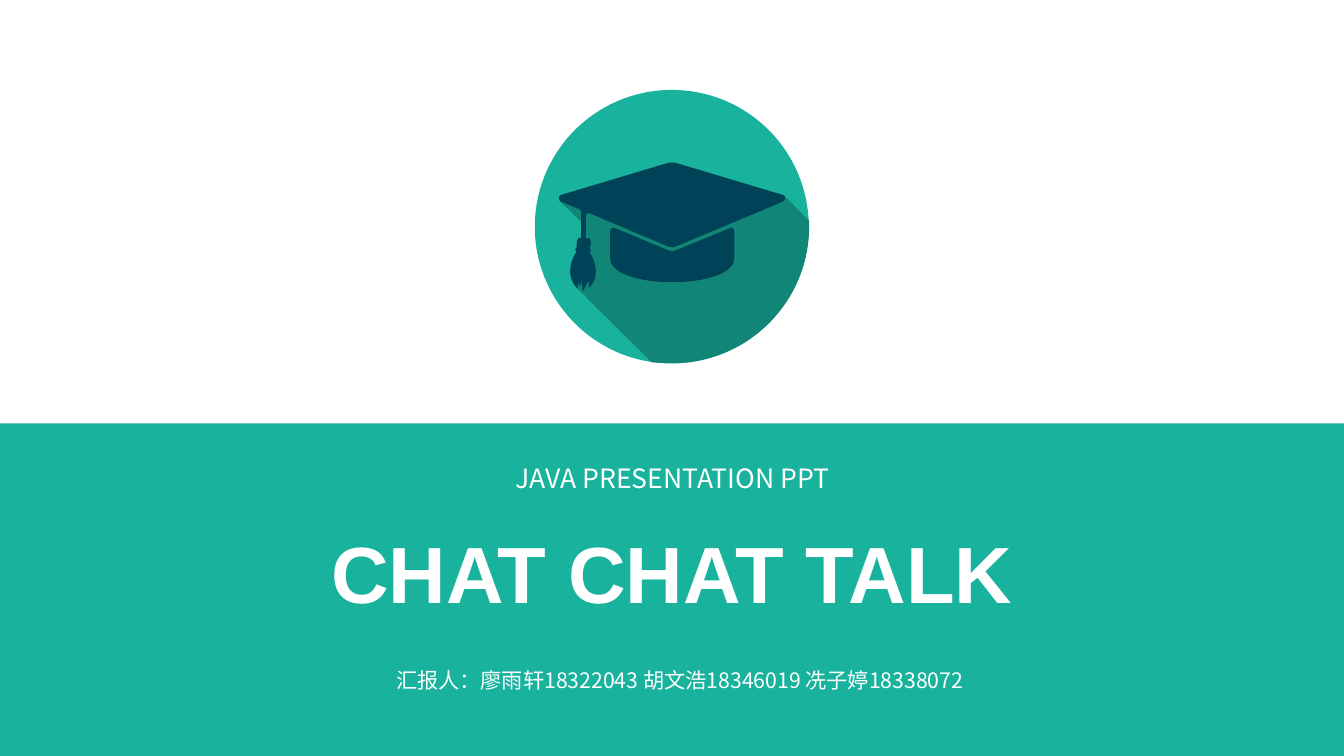
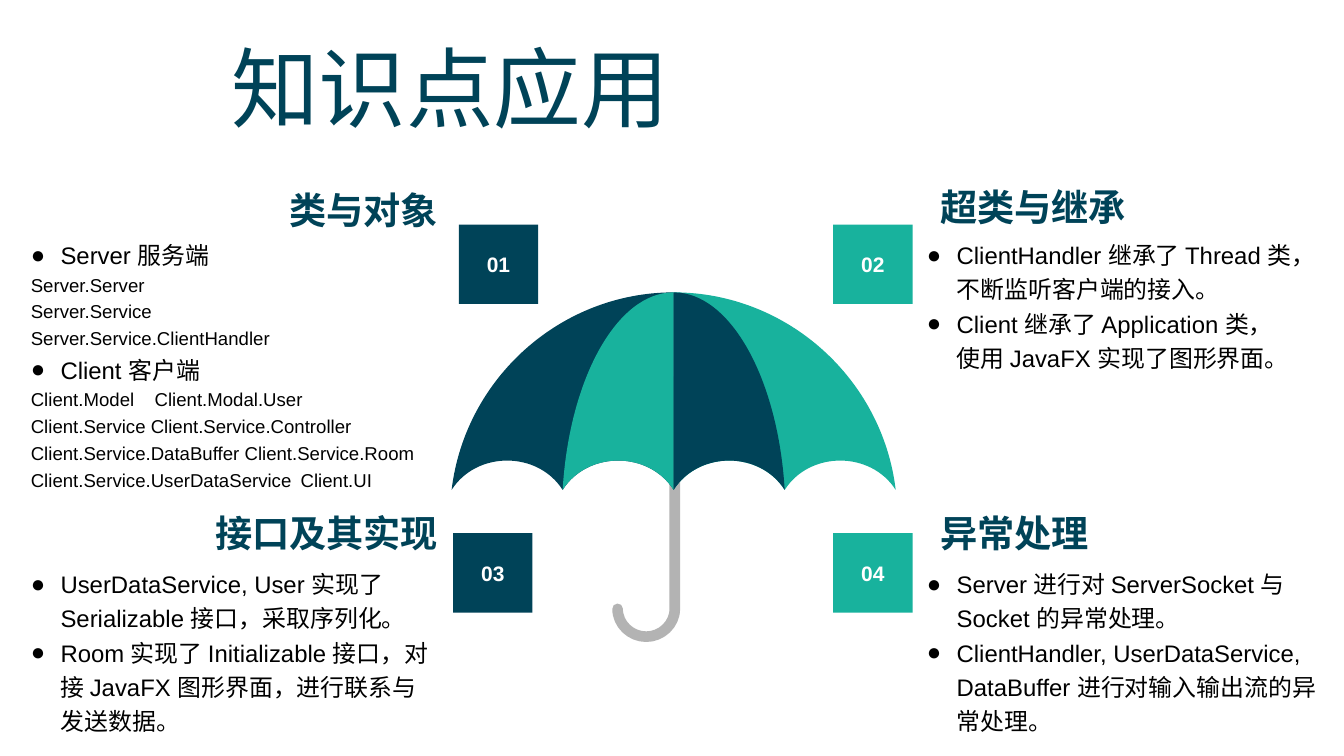
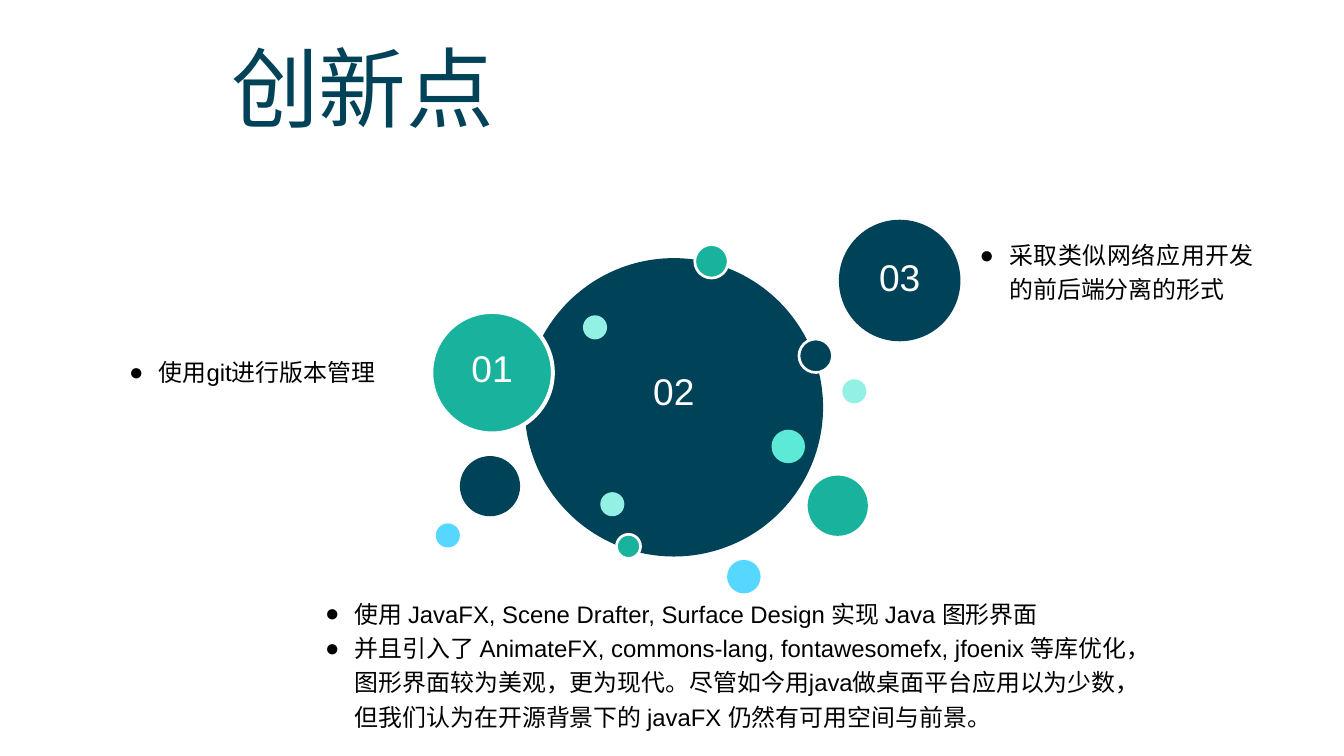
from dataclasses import dataclass

import pptx
import pptx.dml.color
import pptx.enum.shapes
import pptx.enum.text
import pptx.oxml.ns
import pptx.util
from lxml import etree

Cm = pptx.util.Cm
Pt = pptx.util.Pt
qn = pptx.oxml.ns.qn
SHAPE = pptx.enum.shapes.MSO_SHAPE
ALIGN = pptx.enum.text.PP_ALIGN
ANCHOR = pptx.enum.text.MSO_ANCHOR


@dataclass(frozen=True)
class Theme:
    width: float = 35.71
    height: float = 20.09
    green: str = "18B29D"
    shade: str = "128676"
    navy: str = "004358"
    mint: str = "5CE9D6"
    pale: str = "92F0E4"
    sky: str = "56D7FF"
    grey: str = "B3B3B3"
    white: str = "FFFFFF"
    black: str = "000000"
    latin: str = "Arial"
    cjk: str = "Noto Sans CJK SC"
    cover: float = 60
    title: float = 66
    heading: float = 28
    subtitle: float = 20
    body: float = 18
    small: float = 14
    presenters: float = 16
    badge: float = 15.8
    spacing: float = 1.2
    indent: float = 0.79


T = Theme()


def rgb(colour):
    return pptx.dml.color.RGBColor.from_string(colour)


def add_bullet(p):
    pPr = p._p.get_or_add_pPr()
    pPr.set("marL", str(Cm(T.indent)))
    pPr.set("indent", str(-Cm(T.indent)))
    etree.SubElement(pPr, qn("a:buFont")).set("typeface", T.latin)
    etree.SubElement(pPr, qn("a:buChar")).set("char", "●")


def add_tabs(p, stops):
    tabs = etree.SubElement(p._p.get_or_add_pPr(), qn("a:tabLst"))
    for stop in stops:
        tab = etree.SubElement(tabs, qn("a:tab"))
        tab.set("pos", str(Cm(stop)))
        tab.set("algn", "l")


def add_paragraph(p, text, size=T.body, colour=T.black, font=T.latin, bold=False,
                  align=ALIGN.LEFT, spacing=1.0, bullet=False, tabs=()):
    p.alignment = align
    p.line_spacing = spacing
    p.space_before = Pt(0)
    if bullet:
        add_bullet(p)
    if tabs:
        add_tabs(p, tabs)
    r = p.add_run()
    r.text = text
    r.font.size = Pt(size)
    r.font.bold = bold
    r.font.name = font
    r.font.color.rgb = rgb(colour)
    ea = etree.SubElement(r.font._element, qn("a:ea"))
    ea.set("typeface", T.cjk)


def write(tf, items, anchor=ANCHOR.TOP, lift=0, **style):
    """Fill a frame; an item is a text, or a text with its own format."""
    tf.word_wrap = True
    tf.auto_size = pptx.enum.text.MSO_AUTO_SIZE.NONE
    tf.vertical_anchor = anchor
    tf.margin_left = tf.margin_right = tf.margin_top = 0
    tf.margin_bottom = Cm(lift)
    for i, item in enumerate(items):
        text, own = (item, {}) if isinstance(item, str) else item
        p = tf.add_paragraph() if i else tf.paragraphs[0]
        add_paragraph(p, text, **{**style, **own})


def add_text(s, x, y, w, h, *items, **style):
    box = s.shapes.add_textbox(Cm(x), Cm(y), Cm(w), Cm(h))
    write(box.text_frame, items, **style)


def add_body(s, x, y, w, h, *items, **style):
    add_text(s, x, y, w, h, *items,
             **{"bullet": True, "spacing": T.spacing, **style})


def add_slide(prs, title, x, y, w, h, **style):
    s = prs.slides.add_slide(prs.slide_layouts.get_by_name("Title Only"))
    sp = s.shapes.title
    sp.left, sp.top, sp.width, sp.height = Cm(x), Cm(y), Cm(w), Cm(h)
    write(sp.text_frame, [title], **style)
    return s


def add_content_slide(prs, title):
    return add_slide(prs, title, 6.14, 0.89, 18, 2.82, size=T.title,
                     colour=T.navy, anchor=ANCHOR.MIDDLE)


def paint(sp, fill=None, line=None, weight=0):
    sp.shadow.inherit = False
    if fill:
        sp.fill.solid()
        sp.fill.fore_color.rgb = rgb(fill)
    else:
        sp.fill.background()
    if line:
        sp.line.color.rgb = rgb(line)
        sp.line.width = Pt(weight)
    else:
        sp.line.fill.background()


def add_block(s, kind, x, y, w, h, fill, label=None, ring=0, lift=0, **style):
    sp = s.shapes.add_shape(kind, Cm(x), Cm(y), Cm(w), Cm(h))
    paint(sp, fill, T.white if ring else None, ring)
    if label:
        write(sp.text_frame, [label], anchor=ANCHOR.MIDDLE, lift=lift,
              colour=T.white, align=ALIGN.CENTER, **style)


def bend(sp, segment, numbers):
    """Turn a straight segment of a freeform into a cubic curve."""
    curve = etree.Element(qn("a:cubicBezTo"))
    for x, y in zip(numbers[::2], numbers[1::2]):
        pt = etree.SubElement(curve, qn("a:pt"))
        pt.set("x", str(Cm(x) - sp.left))
        pt.set("y", str(Cm(y) - sp.top))
    segment.getparent().replace(segment, curve)


def add_outline(s, steps, closed=True, **look):
    """Draw an outline; a step is a point, or a cubic curve of six numbers."""
    points = [(Cm(step[-2]), Cm(step[-1])) for step in steps]
    builder = s.shapes.build_freeform(*points[0])
    builder.add_line_segments(points[1:], close=closed)
    sp = builder.convert_to_shape()
    segments = list(sp.element.iter(qn("a:lnTo")))
    for segment, step in zip(segments, steps[1:]):
        if len(step) == 6:
            bend(sp, segment, step)
    paint(sp, **look)
    return sp


def add_graduation_cap(s):
    shadow = [(21.5, 6.02), (21.5, 8.03, 19.86, 9.65, 17.86, 9.65), (17.32, 9.63),
              (15.32, 7.65), (15.29, 7.47), (15.47, 6.86), (15.29, 6.65),
              (15.47, 6.58), (15.49, 5.94), (14.86, 5.33), (20.85, 5.21), (21.5, 5.87)]
    base = [(16.21, 6.15), (16.21, 6.86), (16.21, 7.29, 17.04, 7.5, 17.86, 7.5),
            (18.68, 7.5, 19.51, 7.29, 19.51, 6.86),
            (19.51, 6.15), (19.51, 6.07, 19.43, 6.02, 19.38, 6.07), (17.96, 6.65),
            (17.91, 6.68, 17.83, 6.68, 17.75, 6.65), (16.36, 6.07),
            (16.28, 6.02, 16.21, 6.07, 16.21, 6.15)]
    board = [(17.78, 4.32), (17.93, 4.32), (20.8, 5.18),
             (20.88, 5.21, 20.88, 5.31, 20.8, 5.36), (17.96, 6.55),
             (17.91, 6.58, 17.83, 6.58, 17.75, 6.55), (15.65, 5.66),
             (15.62, 5.64, 15.57, 5.69, 15.57, 5.72), (15.57, 6.35),
             (15.7, 6.27, 15.7, 6.4, 15.7, 6.48), (15.67, 6.6),
             (15.72, 6.63, 15.72, 6.68, 15.67, 6.71),
             (15.85, 6.98, 15.93, 7.39, 15.65, 7.65), (15.65, 7.44), (15.49, 7.75),
             (15.44, 7.42), (15.42, 7.62), (15.37, 7.5), (15.34, 7.67),
             (15.09, 7.42, 15.09, 7.04, 15.32, 6.68),
             (15.27, 6.65, 15.27, 6.6, 15.32, 6.58),
             (15.32, 6.48, 15.32, 6.27, 15.44, 6.32),
             (15.44, 5.61), (15.39, 5.56), (14.91, 5.36),
             (14.83, 5.31, 14.83, 5.21, 14.91, 5.18)]
    add_outline(s, shadow, fill=T.shade)
    for part in (base, board):
        add_outline(s, part, fill=T.navy)


def add_canopy(s, side, scallops, fill):
    """Draw the canopy from its middle to one side (-1 or 1)."""
    mid, top, hem, pitch = 17.9, 7.77, 13.02, 2.95
    reach = side * pitch * scallops
    steps = [(mid, top), (mid + 0.51 * reach, top, mid + 0.94 * reach, 10.06,
                          mid + reach, hem)]
    for i in reversed(range(scallops)):
        inner, outer = (mid + side * pitch * n for n in (i, i + 1))
        steps.append((outer - side * 0.66, 11.98, inner + side * 0.66, 11.98, inner, hem))
    add_outline(s, steps, fill=fill)


def add_umbrella(s):
    handle = add_outline(
        s, [(17.93, 10.13), (17.93, 16.18), (17.93, 16.59, 17.58, 16.92, 17.17, 16.92),
            (16.76, 16.92, 16.41, 16.59, 16.41, 16.18)],
        closed=False, line=T.grey, weight=8)
    handle.element.spPr.find(qn("a:ln")).set("cap", "rnd")
    for side, scallops, fill in ((1, 2, T.green), (-1, 2, T.navy),
                                 (-1, 1, T.green), (1, 1, T.navy)):
        add_canopy(s, side, scallops, fill)


def build_cover(prs):
    s = add_slide(prs, "CHAT CHAT TALK", 6.56, 13.92, 22.58, 2.57, size=T.cover,
                  bold=True, colour=T.white, align=ALIGN.CENTER)
    band_top = 11.25
    add_block(s, SHAPE.RECTANGLE, 0, band_top, T.width, T.height - band_top, T.green)
    s.shapes.element.append(s.shapes.title.element)  # title above the band
    add_block(s, SHAPE.OVAL, 14.21, 2.39, 7.28, 7.27, T.green)
    add_graduation_cap(s)
    style = dict(font=T.cjk, colour=T.white, align=ALIGN.CENTER)
    add_text(s, 10.32, 12.27, 15.09, 0.86, "JAVA PRESENTATION PPT",
             size=T.subtitle, **style)
    add_text(s, 8.79, 17.74, 18.54, 0.69,
             "汇报人：廖雨轩18322043 胡文浩18346019 冼子婷18338072",
             size=T.presenters, **style)


def build_knowledge(prs):
    s = add_content_slide(prs, "知识点应用")
    add_umbrella(s)
    detail = dict(size=T.small, bullet=False, tabs=(3.29, 7.17))
    classes = ["Server 服务端"]
    classes += [(t, detail) for t in ("Server.Server", "Server.Service",
                                      "Server.Service.ClientHandler")]
    classes += ["Client 客户端"]
    classes += [(t, detail) for t in (
        "Client.Model\tClient.Modal.User",
        "Client.Service Client.Service.Controller",
        "Client.Service.DataBuffer Client.Service.Room",
        "Client.Service.UserDataService\tClient.UI")]
    # heading, heading top, badge left, body width, body
    topics = [
        ("类与对象", 4.74, 12.19, 10.82, classes),
        ("超类与继承", 4.65, 22.14, 9.8,
         ["ClientHandler 继承了 Thread 类，不断监听客户端的接入。",
          "Client 继承了 Application 类，使用 JavaFX 实现了图形界面。"]),
        ("接口及其实现", 13.32, 12.04, 10.82,
         ["UserDataService, User 实现了 Serializable 接口，采取序列化。",
          "Room 实现了 Initializable 接口，对接 JavaFX 图形界面，进行联系与发送数据。"]),
        ("异常处理", 13.32, 22.14, 10.6,
         ["Server 进行对 ServerSocket 与 Socket 的异常处理。",
          "ClientHandler, UserDataService, DataBuffer 进行对输入输出流的异常处理。"]),
    ]
    for i, (heading, heading_y, badge_x, body_w, body) in enumerate(topics):
        row, right = divmod(i, 2)
        badge_y, body_y, body_h = ((5.97, 6.24, 6.81), (14.17, 14.98, 4.88))[row]
        add_text(s, 24.99 if right else 0.82, heading_y, 10.82, 1.2, heading,
                 size=T.heading, bold=True, colour=T.navy, spacing=T.spacing,
                 align=ALIGN.LEFT if right else ALIGN.RIGHT)
        add_body(s, 24.63 if right else 0.82, body_y, body_w, body_h, *body)
        add_block(s, SHAPE.RECTANGLE, badge_x, badge_y, 2.11, 2.11,
                  T.green if right else T.navy, f"{i + 1:02}", size=T.badge, bold=True)


def build_innovation(prs):
    s = add_content_slide(prs, "创新点")
    # left, top, diameter, fill, extras
    bubbles = [
        (13.94, 6.86, 7.93, T.navy, dict(label="02", lift=0.9)),
        (18.46, 6.5, 0.89, T.green, dict(ring=2)),
        (16.38, 14.2, 0.64, T.green, dict(ring=2)),
        (22.38, 10.08, 0.64, T.pale, {}),
        (19.32, 14.88, 0.89, T.sky, {}),
        (15.49, 8.38, 0.64, T.pale, {}),
        (11.46, 8.29, 3.23, T.green, dict(label="01", ring=3, lift=0.25)),
        (20.5, 11.42, 0.89, T.mint, {}),
        (12.22, 12.12, 1.6, T.navy, {}),
        (22.29, 5.84, 3.23, T.navy, dict(label="03", lift=0.2)),
        (21.23, 9.01, 0.89, T.navy, dict(ring=2)),
        (11.58, 13.91, 0.64, T.sky, {}),
        (15.95, 13.08, 0.64, T.pale, {}),
        (21.46, 12.64, 1.6, T.green, {}),
    ]
    for x, y, d, fill, extras in bubbles:
        add_block(s, SHAPE.OVAL, x, y, d, d, fill, size=T.heading, **extras)
    add_body(s, 3.43, 9.35, 7.72, 0.91, "使用git进行版本管理", align=ALIGN.JUSTIFY)
    add_body(s, 8.64, 15.77, 22.25, 3.68,
             "使用 JavaFX, Scene Drafter, Surface Design 实现 Java 图形界面",
             "并且引入了 AnimateFX, commons-lang, fontawesomefx, jfoenix 等库优化，"
             "图形界面较为美观，更为现代。尽管如今用java做桌面平台应用以为少数，"
             "但我们认为在开源背景下的 javaFX 仍然有可用空间与前景。")
    add_body(s, 26.03, 6.24, 7.29, 1.85, "采取类似网络应用开发的前后端分离的形式",
             align=ALIGN.JUSTIFY)


def main():
    prs = pptx.Presentation()
    prs.slide_width, prs.slide_height = Cm(T.width), Cm(T.height)
    build_cover(prs)
    build_knowledge(prs)
    build_innovation(prs)
    prs.save("out.pptx")


if __name__ == "__main__":
    main()
